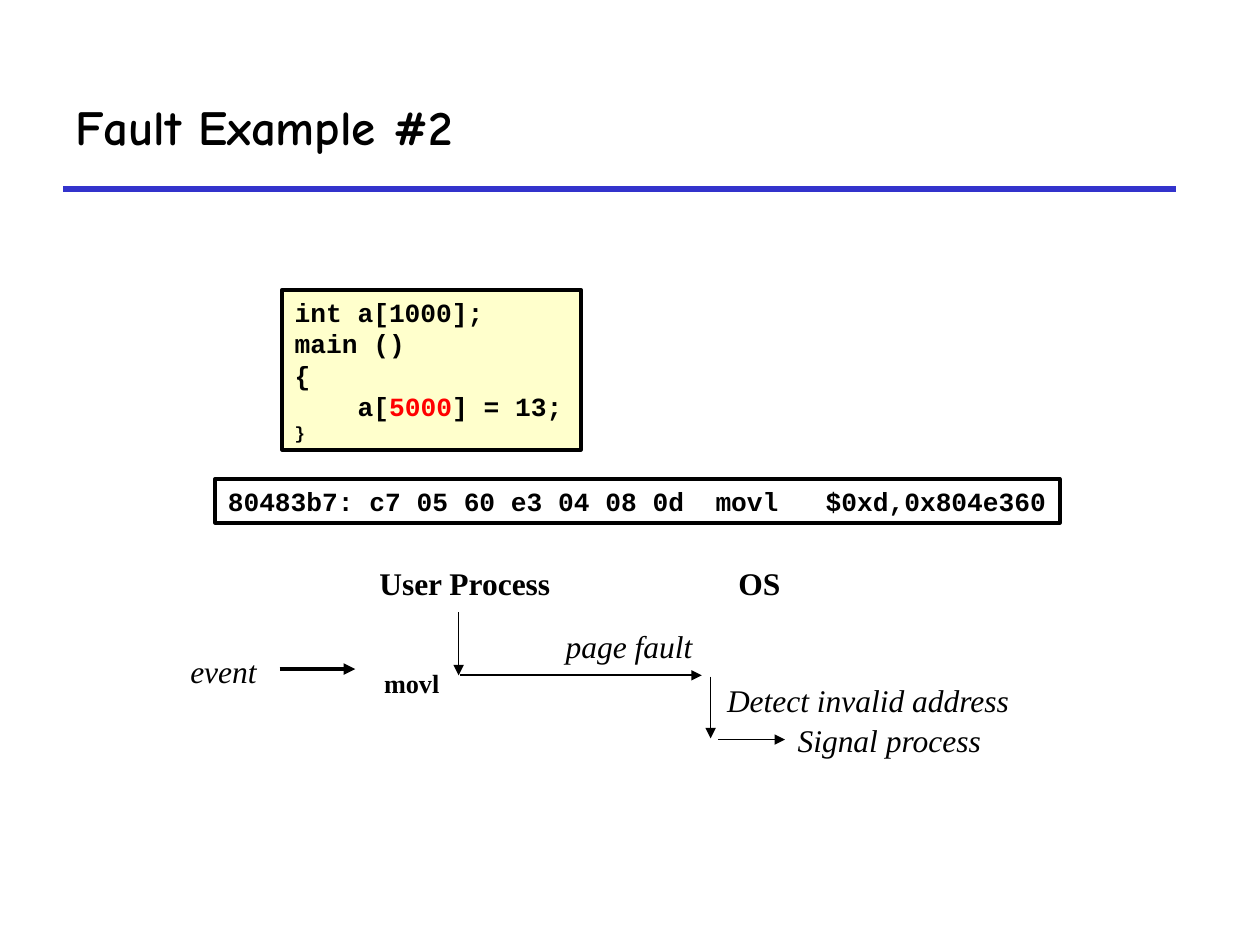
from lxml.etree import SubElement
from pptx import Presentation
from pptx.dml.color import RGBColor
from pptx.enum.shapes import MSO_CONNECTOR, MSO_SHAPE
from pptx.enum.text import MSO_ANCHOR, PP_ALIGN
from pptx.oxml.ns import qn
from pptx.util import Inches, Pt

BLACK = RGBColor(0x00, 0x00, 0x00)
WHITE = RGBColor(0xFF, 0xFF, 0xFF)
RED = RGBColor(0xFF, 0x00, 0x00)
BLUE = RGBColor(0x33, 0x33, 0xCC)
CREAM = RGBColor(0xFF, 0xFF, 0xCC)
TITLE_FONT, CODE_FONT, LABEL_FONT = "Comic Neue", "Courier New", "Times New Roman"


def set_frame(frame, wrap, inset, anchor=MSO_ANCHOR.TOP):
    """Set wrapping, margins and anchor of a text frame."""
    frame.word_wrap = wrap
    frame.vertical_anchor = anchor
    frame.margin_left = frame.margin_right = Inches(inset)
    frame.margin_top = frame.margin_bottom = Inches(inset / 2)


def style(paragraph, name, size, bold=False, italic=False):
    """Give a paragraph its font and left alignment."""
    paragraph.alignment = PP_ALIGN.LEFT
    font = paragraph.font
    font.name, font.size, font.bold, font.italic = name, Pt(size), bold, italic
    font.color.rgb = BLACK


def add_label(page, text, left, top, width, height=0.37, name=LABEL_FONT, size=18,
              bold=False, italic=False, wrap=False, inset=0.07, anchor=MSO_ANCHOR.TOP):
    """Add a one-line text box."""
    box = page.shapes.add_textbox(Inches(left), Inches(top), Inches(width), Inches(height))
    set_frame(box.text_frame, wrap, inset, anchor)
    paragraph = box.text_frame.paragraphs[0]
    paragraph.text = text
    style(paragraph, name, size, bold, italic)


def add_code(page, lines, left, top, width, height, fill, wrap):
    """Add a framed code box; each line is a size and its (text, colour) spans."""
    box = page.shapes.add_shape(MSO_SHAPE.RECTANGLE, Inches(left), Inches(top),
                                Inches(width), Inches(height))
    box.shadow.inherit = False
    box.fill.solid()
    box.fill.fore_color.rgb = fill
    box.line.color.rgb = BLACK
    box.line.width = Pt(2.25)
    frame = box.text_frame
    set_frame(frame, wrap, 0.1)
    for index, (size, spans) in enumerate(lines):
        paragraph = frame.add_paragraph() if index else frame.paragraphs[0]
        style(paragraph, CODE_FONT, size, bold=True)
        for text, color in spans:
            span = paragraph.add_run()
            span.text = text
            span.font.color.rgb = color


def add_line(page, start, end, width, color=BLACK, arrow=True):
    """Add a straight line, with an arrowhead at its end if wanted."""
    line = page.shapes.add_connector(MSO_CONNECTOR.STRAIGHT,
                                     *map(Inches, start), *map(Inches, end))
    line.line.color.rgb = color
    line.line.width = Pt(width)
    if arrow:
        SubElement(line.line._get_or_add_ln(), qn("a:tailEnd"), type="triangle")
    SubElement(line._element.spPr, qn("a:effectLst"))


def main():
    """Build the slide and save it."""
    deck = Presentation()
    deck.slide_width, deck.slide_height = Inches(10), Inches(7.5)
    page = deck.slides.add_slide(deck.slide_layouts[6])

    add_line(page, (0.5, 1.5), (9.33, 1.5), 3, BLUE, arrow=False)
    add_label(page, "Fault Example #2", 0.5, 0.5, 8.83, 1, TITLE_FONT, 28, bold=True,
              wrap=True, inset=0.1, anchor=MSO_ANCHOR.MIDDLE)

    add_label(page, "User Process", 2.94, 4.44, 1.52, bold=True)
    add_label(page, "OS", 5.79, 4.44, 0.48, bold=True)
    add_label(page, "movl", 2.95, 5.25, 0.64, 0.35, size=15, bold=True, inset=0.1)
    add_label(page, "page fault", 4.42, 4.94, 1.16, italic=True)
    for text, left, top, width in (("Detect invalid address", 5.7, 5.37, 2.52),
                                   ("event", 1.44, 5.14, 0.69),
                                   ("Signal process", 6.26, 5.69, 2.18)):
        add_label(page, text, left, top, width, italic=True, wrap=True)

    for start, end, width in (((3.64, 4.86), (3.64, 5.36), 1),
                              ((3.65, 5.36), (5.57, 5.36), 1),
                              ((5.64, 5.37), (5.64, 5.86), 1),
                              ((5.7, 5.87), (6.23, 5.87), 1),
                              ((2.22, 5.31), (2.82, 5.31), 2.25)):
        add_line(page, start, end, width)

    source = [(15, [("int a[1000];", BLACK)]),
              (15, [("main ()", BLACK)]),
              (15, [("{", BLACK)]),
              (15, [("    a[", BLACK), ("5000", RED), ("] = 13;", BLACK)]),
              (10, [("}", BLACK)])]
    add_code(page, source, 2.24, 2.3, 2.37, 1.27, CREAM, wrap=True)
    assembly = "80483b7: c7 05 60 e3 04 08 0d  movl   $0xd,0x804e360"
    add_code(page, [(15, [(assembly, BLACK)])], 1.71, 3.8, 6.7, 0.35, WHITE, wrap=False)

    deck.save("out.pptx")


if __name__ == "__main__":
    main()
